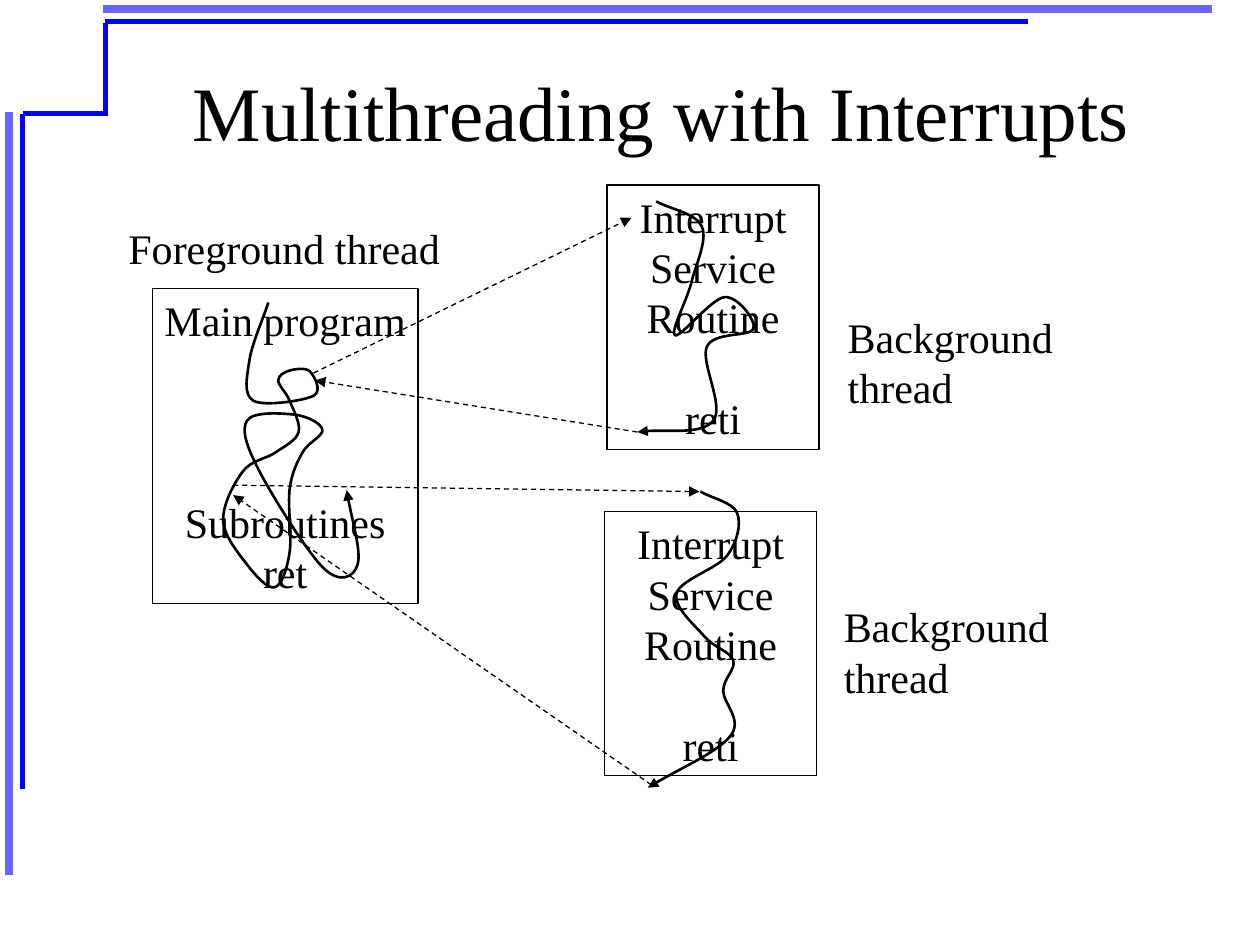
from lxml import etree
from pptx import Presentation
from pptx.dml.color import RGBColor
from pptx.enum.dml import MSO_LINE
from pptx.enum.shapes import MSO_CONNECTOR, MSO_SHAPE
from pptx.enum.text import MSO_ANCHOR, PP_ALIGN
from pptx.oxml.ns import qn
from pptx.util import Cm, Pt

STRAIGHT = MSO_CONNECTOR.STRAIGHT
RECTANGLE = MSO_SHAPE.RECTANGLE
DASH = MSO_LINE.DASH
TOP, MIDDLE = MSO_ANCHOR.TOP, MSO_ANCHOR.MIDDLE
LEFT, CENTER = PP_ALIGN.LEFT, PP_ALIGN.CENTER

FONT = "Times New Roman"
BLACK, BLUE, PALE_BLUE = "000000", "0000FF", "6666FF"
TITLE_SIZE, BODY_SIZE = 44, 24
LINE_PITCH = 28.8

FRAME_LINES = [
    (PALE_BLUE, 4.5, (0.18, 2.26), (0.18, 17.63)),
    (PALE_BLUE, 4.5, (2.08, 0.18), (24.43, 0.18)),
    (BLUE, 3, (0.46, 2.29), (0.46, 15.9)),
    (BLUE, 3, (2.11, 0.43), (20.73, 0.43)),
    (BLUE, 3, (0.46, 2.29), (2.16, 2.29)),
    (BLUE, 3, (2.13, 2.34), (2.13, 0.46)),
]
# Each line of a box: text and the number of blank lines above it.
MAIN_LINES = [("Main program", 0), ("Subroutines", 3), ("ret", 0)]
ROUTINE_LINES = [("Interrupt Service Routine", 0), ("reti", 1)]
BOXES = [
    ((3.07, 5.82, 5.36, 6.35), MAIN_LINES, False),
    ((12.24, 3.73, 4.27, 5.33), ROUTINE_LINES, True),
    ((12.19, 10.31, 4.27, 5.33), ROUTINE_LINES, True),
]
LABELS = [
    ("Foreground thread", (2.34, 4.37, 6.78, 1.27)),
    ("Background thread", (16.76, 11.99, 6.96, 1.27)),
    ("Background thread", (16.84, 6.15, 6.96, 1.27)),
]
JUMPS = [
    ((6.32, 7.52), (12.73, 4.39)),
    ((12.85, 8.71), (6.35, 7.67)),
    ((4.7, 9.78), (14.1, 9.91)),
    ((13.13, 15.82), (4.7, 9.98)),
]
MAIN_THREAD = [
    (5.41, 6.1), (5.03, 7.26), (5.11, 8.08), (6.32, 7.98), (6.25, 7.49),
    (5.84, 7.47), (5.61, 7.67), (5.84, 8.08), (6.02, 8.71), (5.56, 9.12),
    (4.9, 9.5), (4.5, 10.49), (4.98, 11.38), (5.54, 11.84), (5.84, 11.13),
    (5.84, 9.86), (6.1, 9.12), (6.5, 8.66), (5.94, 8.36), (4.98, 8.48),
    (5.23, 9.5), (6.53, 11.46), (7.21, 11.38), (6.99, 9.88),
]
FIRST_ROUTINE = [
    (13.23, 4.06), (14.15, 4.57), (13.94, 5.69), (13.61, 6.76), (14.61, 5.99),
    (15.19, 6.63), (14.25, 6.99), (14.38, 8.48), (12.85, 8.71),
]
SECOND_ROUTINE = [
    (14.12, 9.91), (14.86, 10.34), (14.66, 11.2), (13.64, 11.96), (14.2, 12.83),
    (14.78, 13.31), (14.58, 13.92), (14.73, 14.83), (13.06, 15.88),
]


def color(code):
    return RGBColor.from_string(code)


def lengths(values):
    return [Cm(value) for value in values]


def style_line(shape, code, width, arrow=False):
    shape.line.color.rgb = color(code)
    shape.line.width = Pt(width)
    if arrow:
        outline = shape.line._get_or_add_ln()
        etree.SubElement(outline, qn("a:tailEnd"), type="triangle")


def format_para(para, size, align):
    para.alignment = align
    for span in para.runs:
        span.font.name = FONT
        span.font.size = Pt(size)
        span.font.color.rgb = color(BLACK)


def add_title(page, text):
    title = page.shapes.title
    title.left, title.top, title.width, title.height = lengths((2.54, 0.64, 21.59, 3.18))
    title.text_frame.text = text
    title.text_frame.vertical_anchor = MIDDLE
    format_para(title.text_frame.paragraphs[0], TITLE_SIZE, CENTER)


def add_line(page, start, end, code, width, arrow=False):
    line = page.shapes.add_connector(STRAIGHT, *lengths(start + end))
    etree.SubElement(line._element.spPr, qn("a:effectLst"))
    if arrow:
        line.line.dash_style = DASH
    style_line(line, code, width, arrow)


def add_box(page, place, lines, wrap):
    box = page.shapes.add_shape(RECTANGLE, *lengths(place))
    box.shadow.inherit = False
    box.fill.background()
    style_line(box, BLACK, 0.75)
    frame = box.text_frame
    frame.word_wrap = wrap
    frame.vertical_anchor = TOP
    frame.text = "\n".join(text for text, _ in lines)
    for para, (_, blanks) in zip(frame.paragraphs, lines):
        format_para(para, BODY_SIZE, CENTER)
        para.line_spacing = Pt(LINE_PITCH)
        para.space_before = Pt(blanks * LINE_PITCH)


def add_label(page, text, place):
    label = page.shapes.add_textbox(*lengths(place))
    label.text_frame.word_wrap = False
    label.text_frame.text = text
    para = label.text_frame.paragraphs[0]
    format_para(para, BODY_SIZE, LEFT)
    para.line_spacing = Pt(LINE_PITCH)


def smooth(outline):
    """Turn the straight segments of a freeform into a curve through its points."""
    points = [(int(pt.get("x")), int(pt.get("y"))) for pt in outline.iter(qn("a:pt"))]

    def mirrored(end, inner):
        return tuple(2 * e - i for e, i in zip(end, inner))

    points = [mirrored(points[0], points[1]), *points, mirrored(points[-1], points[-2])]
    segments = list(outline.iter(qn("a:lnTo")))
    for segment, before, start, end, after in zip(
        segments, points, points[1:], points[2:], points[3:]
    ):
        leave = [s + (e - b) / 6 for b, s, e in zip(before, start, end)]
        arrive = [e - (a - s) / 6 for s, e, a in zip(start, end, after)]
        curve = etree.Element(qn("a:cubicBezTo"))
        for x, y in (leave, arrive, end):
            etree.SubElement(curve, qn("a:pt"), x=str(round(x)), y=str(round(y)))
        segment.getparent().replace(segment, curve)


def add_thread(page, points):
    start, *rest = [lengths(point) for point in points]
    builder = page.shapes.build_freeform(*start)
    builder.add_line_segments(rest, close=False)
    thread = builder.convert_to_shape()
    smooth(thread._element.spPr)
    thread.shadow.inherit = False
    thread.fill.background()
    style_line(thread, BLACK, 1.5, arrow=True)


def main():
    deck = Presentation()
    deck.slide_width, deck.slide_height = Cm(25.4), Cm(19.05)
    page = deck.slides.add_slide(deck.slide_layouts[5])
    for code, width, start, end in FRAME_LINES:
        add_line(page, start, end, code, width)
    add_title(page, "Multithreading with Interrupts")
    for place, lines, wrap in BOXES:
        add_box(page, place, lines, wrap)
    for text, place in LABELS:
        add_label(page, text, place)
    for points in (MAIN_THREAD, FIRST_ROUTINE, SECOND_ROUTINE):
        add_thread(page, points)
    for start, end in JUMPS:
        add_line(page, start, end, BLACK, 0.75, arrow=True)
    deck.save("out.pptx")


if __name__ == "__main__":
    main()
